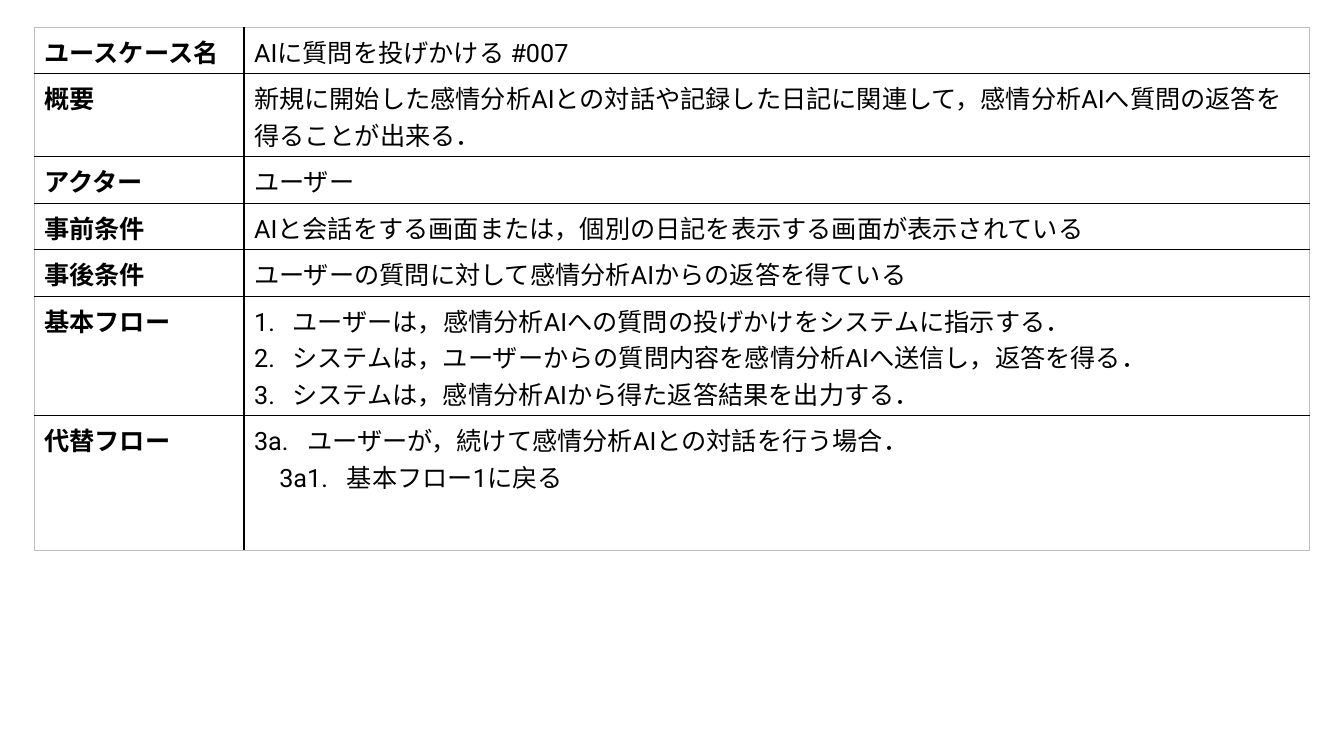
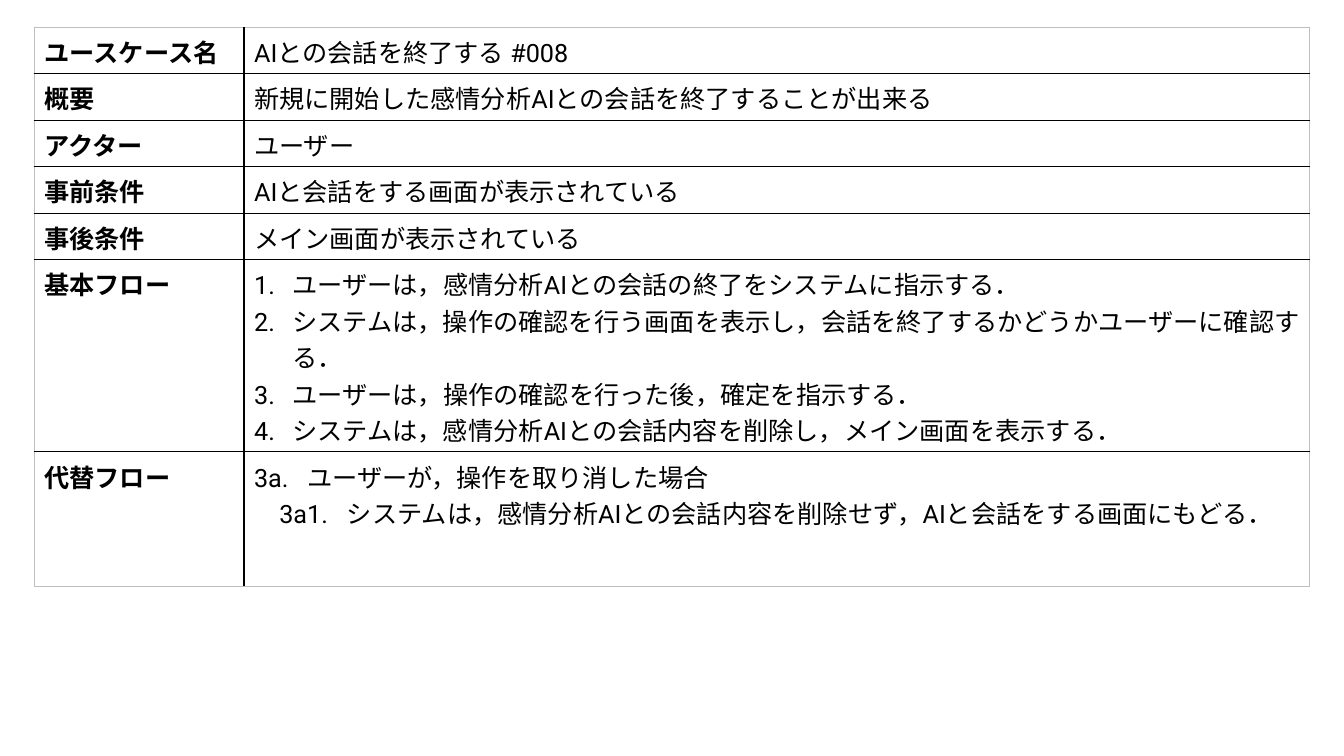
from lxml.etree import SubElement
from pptx import Presentation
from pptx.dml.color import RGBColor
from pptx.oxml.ns import qn
from pptx.util import Inches, Pt

SLIDE_W, SLIDE_H = 13.33, 7.5
TABLE_BOX = (0.34, 0.27, 12.65, 4.56)
LABEL_SHARE = 2.08 / 12.65
ROW_SHARES = [share / 4.56 for share in [0.41] * 5 + [1.17, 1.34]]
FONT, INK, RULE, FRAME = "Roboto", "000000", "000000", "BFBFBF"
LABELS = ["ユースケース名", "概要", "アクター", "事前条件", "事後条件",
          "基本フロー", "代替フロー"]
STEP = {"left": 0.38, "hang": 0.38, "numbered": True}
BRANCH = {"left": 0.53, "hang": 0.53}
BRANCH_STEP = {"left": 0.92, "hang": 0.67}

USE_CASES = [
    {
        "facts": [
            "AIに質問を投げかける #007",
            "新規に開始した感情分析AIとの対話や記録した日記に関連して，感情分析AIへ質問の返答を得ることが出来る．",
            "ユーザー",
            "AIと会話をする画面または，個別の日記を表示する画面が表示されている",
            "ユーザーの質問に対して感情分析AIからの返答を得ている",
        ],
        "steps": [
            "ユーザーは，感情分析AIへの質問の投げかけをシステムに指示する．",
            "システムは，ユーザーからの質問内容を感情分析AIへ送信し，返答を得る．",
            "システムは，感情分析AIから得た返答結果を出力する．",
        ],
        "branch": "3a.\tユーザーが，続けて感情分析AIとの対話を行う場合．",
        "branch_step": "3a1.\t基本フロー1に戻る",
    },
    {
        "facts": [
            "AIとの会話を終了する #008",
            "新規に開始した感情分析AIとの会話を終了することが出来る",
            "ユーザー",
            "AIと会話をする画面が表示されている",
            "メイン画面が表示されている",
        ],
        "steps": [
            "ユーザーは，感情分析AIとの会話の終了をシステムに指示する．",
            "システムは，操作の確認を行う画面を表示し，会話を終了するかどうかユーザーに確認する．",
            "ユーザーは，操作の確認を行った後，確定を指示する．",
            "システムは，感情分析AIとの会話内容を削除し，メイン画面を表示する．",
        ],
        "branch": "3a.\tユーザーが，操作を取り消した場合",
        "branch_step": "3a1.\tシステムは，感情分析AIとの会話内容を削除せず，AIと会話をする画面にもどる．",
    },
]


def set_color(color_format, hex_color):
    """Apply a hex colour to a colour format."""
    color_format.rgb = RGBColor.from_string(hex_color)


def write(paragraph, text, bold=False, size=18, line=26, color=INK,
          left=0, hang=0, numbered=False):
    """Write one formatted paragraph, with a hanging indent if asked."""
    paragraph.line_spacing = Pt(line)
    run = paragraph.add_run()
    run.text = text
    run.font.name, run.font.size, run.font.bold = FONT, Pt(size), bold
    set_color(run.font.color, color)
    SubElement(run.font._element, qn("a:ea"), typeface=FONT)
    if left:
        properties = paragraph._p.get_or_add_pPr()
        properties.set("marL", str(Inches(left)))
        properties.set("indent", str(-Inches(hang)))
        if numbered:
            SubElement(properties, qn("a:buFont"), typeface=FONT)
            SubElement(properties, qn("a:buAutoNum"), type="arabicPeriod")
        else:
            SubElement(properties, qn("a:buNone"))


def fill_cell(cell, paragraphs):
    """Fill a cell with (text, format) pairs, one for each paragraph."""
    frame = cell.text_frame
    for index, (text, style) in enumerate(paragraphs):
        write(frame.add_paragraph() if index else frame.paragraphs[0], text, **style)


def set_borders(cell, **sides):
    """Draw the sides of a cell, each given as (colour, width in points)."""
    properties = cell._tc.get_or_add_tcPr()
    for position, side in enumerate(("L", "R", "T", "B")):
        color, width = sides[side]
        line = properties.makeelement(qn(f"a:ln{side}"), {"w": str(Pt(width))})
        fill = SubElement(line, qn("a:solidFill"))
        SubElement(fill, qn("a:srgbClr"), val=color)
        properties.insert(position, line)


def rule_table(table):
    """Rule the table inside and frame it lightly."""
    frame, rule = (FRAME, 0.75), (RULE, 1)
    last = len(table.rows) - 1
    edges = [frame] + [rule] * last + [frame]
    for row in range(last + 1):
        for column, (left, right) in enumerate([(frame, rule), (rule, frame)]):
            cell = table.cell(row, column)
            cell.fill.background()
            set_borders(cell, L=left, R=right, T=edges[row], B=edges[row + 1])


def use_case_table(slide, box, use_case):
    """Place the table of one use case in the given box."""
    left, top, width, height = box
    table = slide.shapes.add_table(
        len(LABELS), 2, *(Inches(length) for length in box)).table
    table.first_row = table.horz_banding = False
    for column, share in zip(table.columns, (LABEL_SHARE, 1 - LABEL_SHARE)):
        column.width = Inches(width * share)
    contents = [[(fact, {})] for fact in use_case["facts"]]
    contents.append([(step, STEP) for step in use_case["steps"]])
    contents.append([(use_case["branch"], BRANCH),
                     (use_case["branch_step"], BRANCH_STEP)])
    for index, (label, content) in enumerate(zip(LABELS, contents)):
        table.rows[index].height = Inches(height * ROW_SHARES[index])
        fill_cell(table.cell(index, 0), [(label, {"bold": True})])
        fill_cell(table.cell(index, 1), content)
    rule_table(table)


def main():
    """Build one slide for each use case."""
    deck = Presentation()
    deck.slide_width, deck.slide_height = Inches(SLIDE_W), Inches(SLIDE_H)
    for use_case in USE_CASES:
        slide = deck.slides.add_slide(deck.slide_layouts[6])
        use_case_table(slide, TABLE_BOX, use_case)
    deck.save("out.pptx")


if __name__ == "__main__":
    main()
